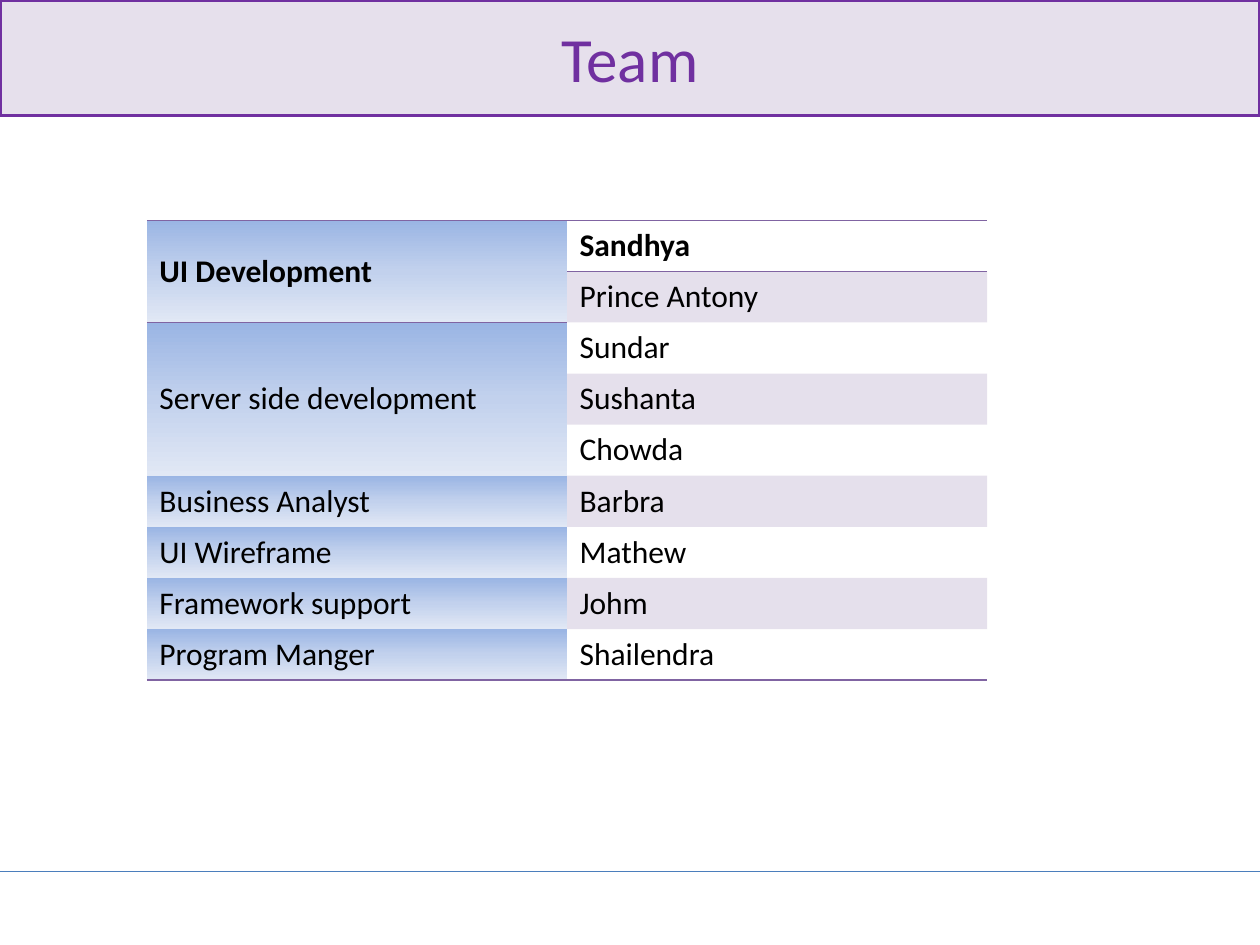
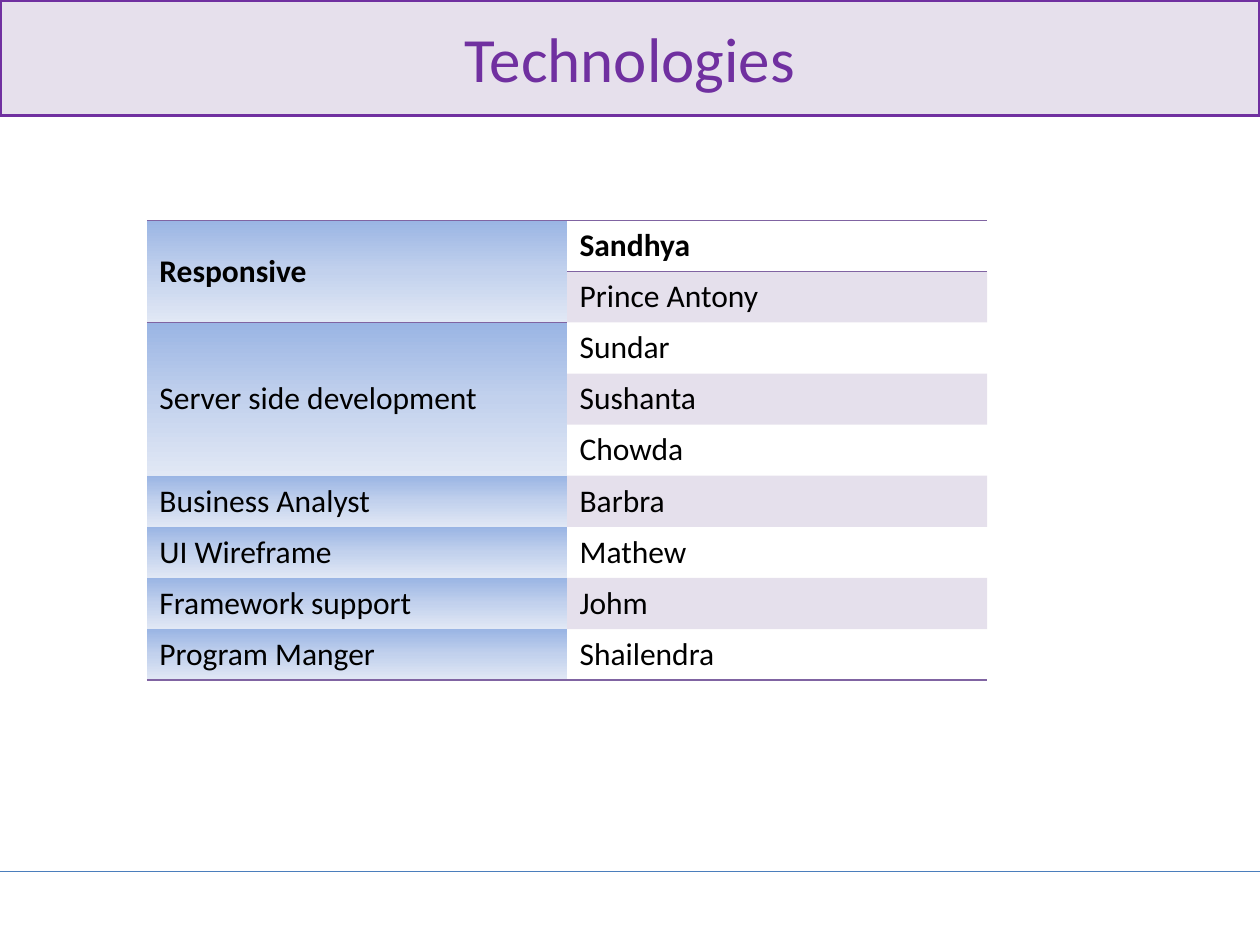
from lxml import etree
from pptx import Presentation
from pptx.dml.color import RGBColor
from pptx.enum.shapes import MSO_CONNECTOR
from pptx.enum.text import MSO_ANCHOR, MSO_AUTO_SIZE, PP_ALIGN
from pptx.oxml.ns import qn
from pptx.util import Cm, Pt

LINE = MSO_CONNECTOR.STRAIGHT
MIDDLE = MSO_ANCHOR.MIDDLE
TOP = MSO_ANCHOR.TOP
LEFT = PP_ALIGN.LEFT
CENTER = PP_ALIGN.CENTER
FIXED = MSO_AUTO_SIZE.NONE

WIDTH, HEIGHT = Cm(25.4), Cm(19.05)
TITLE_ONLY = 5
PLAIN = "{2D5ABB26-0587-4C30-8999-92F81FD0307C}"  # no style, no grid


def color(code):
    return RGBColor.from_string(code)


def write(frame, text, size=18, ink="000000", bold=False, align=LEFT):
    para = frame.paragraphs[0]
    para.alignment = align
    run = para.add_run()
    run.text = text
    font = run.font
    font.name, font.size, font.bold = "Calibri", Pt(size), bold
    font.color.rgb = color(ink)


def add(parent, tag, **attrs):
    return etree.SubElement(parent, qn(tag), attrs)


class Deck:
    violet, pale = "7030A0", "E6E0EC"
    rule, edge = "4B7EBC", "8064A2"
    fade = ((0, "9AB5E4"), (50, "C2D1ED"), (100, "E1E8F5"))

    def __init__(self):
        self.prs = Presentation()
        self.prs.slide_width, self.prs.slide_height = WIDTH, HEIGHT
        self.slide = None

    def start(self, title):
        layout = self.prs.slide_layouts[TITLE_ONLY]
        self.slide = self.prs.slides.add_slide(layout)
        self.band(title)
        self.footer()

    def band(self, text):
        box = self.slide.shapes.title
        box.left, box.top, box.width, box.height = 0, 0, WIDTH, Cm(2.33)
        box.fill.solid()
        box.fill.fore_color.rgb = color(self.pale)
        box.line.color.rgb = color(self.violet)
        box.line.width = Pt(2)
        frame = box.text_frame
        frame.auto_size, frame.vertical_anchor = FIXED, MIDDLE
        write(frame, text, size=36, ink=self.violet, align=CENTER)

    def footer(self):
        y = Cm(17.57)
        line = self.slide.shapes.add_connector(LINE, 0, y, WIDTH, y)
        line.line.color.rgb = color(self.rule)
        line.line.width = Pt(0.75)
        add(line._element.spPr, "a:effectLst")

    def border(self, cell, sides):
        props = cell._tc.get_or_add_tcPr()
        for side in sides:
            line = add(props, "a:ln" + side, w=str(Pt(1)))
            add(add(line, "a:solidFill"), "a:srgbClr", val=self.edge)

    def shade(self, cell):
        fill = add(cell._tc.get_or_add_tcPr(), "a:gradFill", rotWithShape="1")
        stops = add(fill, "a:gsLst")
        for pos, code in self.fade:
            stop = add(stops, "a:gs", pos=str(pos * 1000))
            add(stop, "a:srgbClr", val=code)
        add(fill, "a:lin", ang=str(90 * 60000), scaled="0")

    def tint(self, cell):
        fill = add(cell._tc.get_or_add_tcPr(), "a:solidFill")
        tone = add(fill, "a:srgbClr", val=self.edge)
        add(tone, "a:alpha", val="20000")

    def table(self, groups):
        count = sum(len(names) for _, names in groups)
        col, row = Cm(8.47), Cm(1.03)
        shape = self.slide.shapes.add_table(
            count, 2, Cm(2.96), Cm(4.44), 2 * col, count * row)
        grid = shape.table
        grid._tbl.tblPr.find(qn("a:tableStyleId")).text = PLAIN
        grid.first_row = grid.horz_banding = False
        for item in grid.rows:
            item.height = row

        first = 0
        for role, names in groups:
            last = first + len(names) - 1
            # Role, spanning all its people
            cell = grid.cell(first, 0)
            if last > first:
                cell.merge(grid.cell(last, 0))
            cell.vertical_anchor = MIDDLE if last > first else TOP
            write(cell.text_frame, role, bold=first == 0)
            self.border(cell, self.sides(first, last, count))
            self.shade(cell)
            # People, every second row tinted
            for i, name in enumerate(names, first):
                cell = grid.cell(i, 1)
                write(cell.text_frame, name, bold=i == 0)
                self.border(cell, self.sides(i, i, count))
                if i % 2:
                    self.tint(cell)
                else:
                    cell.fill.background()
            first = last + 1

    def sides(self, first, last, count):
        if first == 0:
            return "TB"
        return "B" if last == count - 1 else ""


# Roles below the first are the same on both slides
COMMON = [
    ("Server side development", ["Sundar", "Sushanta", "Chowda"]),
    ("Business Analyst", ["Barbra"]),
    ("UI Wireframe", ["Mathew"]),
    ("Framework support", ["Johm"]),
    ("Program Manger", ["Shailendra"]),
]

deck = Deck()
for title, lead in (("Team", "UI Development"), ("Technologies", "Responsive")):
    deck.start(title)
    deck.table([(lead, ["Sandhya", "Prince Antony"])] + COMMON)

deck.prs.save("out.pptx")
